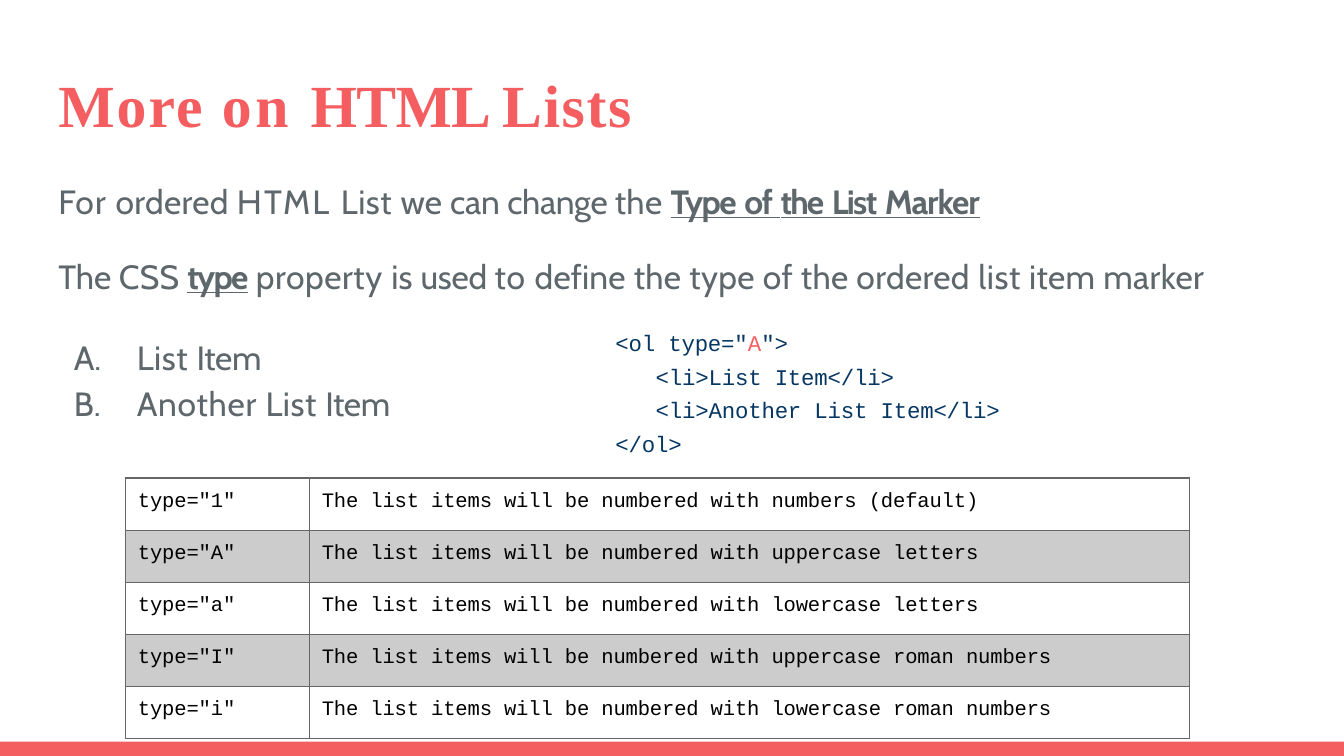
"""Build a slide about the marker types of ordered HTML lists."""
from dataclasses import dataclass

from lxml import etree
from pptx import Presentation
from pptx.dml.color import RGBColor
from pptx.enum.shapes import MSO_SHAPE
from pptx.enum.text import MSO_ANCHOR, MSO_AUTO_SIZE, PP_ALIGN
from pptx.oxml.ns import qn
from pptx.util import Pt

RECTANGLE = MSO_SHAPE.RECTANGLE
TOP = MSO_ANCHOR.TOP
NO_FIT = MSO_AUTO_SIZE.NONE
LEFT = PP_ALIGN.LEFT
CORAL, SLATE, NAVY = "F45E61", "5E686C", "063763"
BLACK, BORDER, BAND = "000000", "666666", "CCCCCC"
SERIF, SANS, MONO = "Times New Roman", "Cabin", "Courier New"


@dataclass(frozen=True)
class Piece:
    text: str
    spacing: float = 0
    strong: bool = False
    underline: bool = False
    color: str = ""


@dataclass(frozen=True)
class Line:
    pieces: tuple[Piece, ...]
    before: float = 0
    margin: float = 0.7
    hanging: float = 0
    numbering: str = ""


@dataclass(frozen=True)
class Box:
    left: float
    top: float
    width: float
    height: float
    inset: float = 0.9


@dataclass(frozen=True)
class MarkerType:
    value: str
    markers: str


def rgb(value: str) -> RGBColor:
    """Turn a hex string into a colour."""
    return RGBColor.from_string(value)


def key(text: str, spacing: float) -> Piece:
    """Describe an underlined key phrase."""
    return Piece(text, spacing, strong=True, underline=True)


def write(paragraph, text: str, *, size: float, font: str, color: str, bold: bool = False,
          underline: bool = False, spacing: float = 0) -> None:
    """Add one formatted run to a paragraph."""
    run = paragraph.add_run()
    run.text = text
    run.font.size = Pt(size)
    run.font.name = font
    run.font.bold = bold
    run.font.underline = underline
    run.font.color.rgb = rgb(color)
    run.font._element.set("spc", str(round(spacing * 100)))


def set_indent(paragraph, line: Line) -> None:
    """Set the indent and the numbering of a paragraph."""
    properties = paragraph._p.get_or_add_pPr()
    properties.set("marL", str(Pt(line.margin)))
    properties.set("indent", str(-Pt(line.hanging)))
    if line.numbering:
        etree.SubElement(properties, qn("a:buAutoNum"), type=line.numbering)
    else:
        etree.SubElement(properties, qn("a:buNone"))


def fill_frame(frame, lines: list[Line], *, size: float, font: str, color: str) -> None:
    """Write lines into a text frame."""
    for index, line in enumerate(lines):
        paragraph = frame.add_paragraph() if index else frame.paragraphs[0]
        set_indent(paragraph, line)
        paragraph.alignment = LEFT
        paragraph.space_before = Pt(line.before)
        for piece in line.pieces:
            write(paragraph, piece.text, size=size, font=font, color=piece.color or color,
                  bold=piece.strong, underline=piece.underline, spacing=piece.spacing)


def place(shape, box: Box) -> None:
    """Move a text shape and set its insets."""
    shape.left, shape.top = Pt(box.left), Pt(box.top)
    shape.width, shape.height = Pt(box.width), Pt(box.height)
    frame = shape.text_frame
    frame.word_wrap = True
    frame.auto_size = NO_FIT
    frame.vertical_anchor = TOP
    frame.margin_left = frame.margin_right = frame.margin_bottom = 0
    frame.margin_top = Pt(box.inset)


def outline_cell(cell) -> None:
    """Draw thin borders on the four sides of a cell."""
    properties = cell._tc.get_or_add_tcPr()
    for index, side in enumerate(("lnL", "lnR", "lnT", "lnB")):
        border = etree.Element(qn(f"a:{side}"), w=str(Pt(0.75)))
        solid = etree.SubElement(border, qn("a:solidFill"))
        etree.SubElement(solid, qn("a:srgbClr"), val=BORDER)
        properties.insert(index, border)


def add_marker_table(slide, marker_types: list[MarkerType], box: Box) -> None:
    """Add the table of marker types."""
    table = slide.shapes.add_table(len(marker_types), 2, Pt(box.left), Pt(box.top),
                                   Pt(box.width), Pt(box.height)).table
    table.first_row = table.horz_banding = False
    type_width = 98.5
    table.columns[0].width = Pt(type_width)
    table.columns[1].width = Pt(box.width - type_width)
    for row, marker in enumerate(marker_types):
        texts = (f'type="{marker.value}"',
                 f"The list items will be numbered with {marker.markers}")
        for column, text in enumerate(texts):
            cell = table.cell(row, column)
            cell.margin_left = cell.margin_right = cell.margin_bottom = 0
            cell.margin_top = Pt(box.inset)
            if row % 2:
                cell.fill.solid()
                cell.fill.fore_color.rgb = rgb(BAND)
            else:
                cell.fill.background()
            outline_cell(cell)
            fill_frame(cell.text_frame, [Line((Piece(text, -0.1),), margin=6.7)],
                       size=11, font=MONO, color=BLACK)


def main() -> None:
    """Build and save the slide."""
    deck = Presentation()
    deck.slide_width, deck.slide_height = Pt(720), Pt(405)
    slide = deck.slides.add_slide(deck.slide_layouts[3])
    title, intro, items = slide.placeholders

    footer = slide.shapes.add_shape(RECTANGLE, 0, Pt(397.4), Pt(720), Pt(7.6))
    footer.shadow.inherit = False
    footer.fill.solid()
    footer.fill.fore_color.rgb = rgb(CORAL)
    footer.line.fill.background()

    place(title, Box(30.5, 35.5, 320, 40))
    heading = Line((Piece("More ", 1.1, True), Piece("on ", 1.9, True),
                    Piece("HTML ", -0.4, True), Piece("Lists", 0.9, True)))
    fill_frame(title.text_frame, [heading], size=32, font=SERIF, color=CORAL)

    place(intro, Box(30.5, 95.8, 625, 64))
    marker_line = Line((
        Piece("For ", 0.6), Piece("ordered ", 0.2), Piece("HTML ", 1.1), Piece("List ", 0.3),
        Piece("we ", 0.1), Piece("can ", -0.1), Piece("change ", -0.2), Piece("the ", 0.2),
        key("Type", -0.8), key(" ", -1.8), key("of", -0.8), key(" ", -1.9), key("the", -1),
        key(" ", -1.8), key("List", -0.9), key(" ", -1.8), key("Marker", -0.6)))
    property_line = Line((
        Piece("The "), Piece("CSS ", 0.1), key("type", -0.9), Piece(" ", -1.8, True),
        Piece("property ", 0.3), Piece("is ", 0.1), Piece("used ", -0.1), Piece("to ", 0.5),
        Piece("define ", 0.1), Piece("the type of the ordered ", 0.2), Piece("list ", 0.3),
        Piece("item marker", 0.2)), before=18.5)
    fill_frame(intro.text_frame, [marker_line, property_line], size=18, font=SANS, color=SLATE)

    place(items, Box(38, 176.4, 175, 52, 4.3))
    item = (Piece("List ", 0.3), Piece("Item", -0.2))
    numbered = {"margin": 35.3, "hanging": 33.8, "numbering": "alphaUcPeriod"}
    fill_frame(items.text_frame,
               [Line(item, **numbered),
                Line((Piece("Another ", 0.4), *item), before=3.1, **numbered)],
               size=18, font=SANS, color=SLATE)

    code = slide.shapes.add_textbox(0, 0, 0, 0)
    place(code, Box(329, 172, 216, 71, 4.3))
    opening = (Piece('<ol type="', -0.1), Piece("A", -0.1, color=CORAL), Piece('">', -0.1))
    code_lines = [Line(opening)]
    for text, margin in (("<li>List Item</li>", 22.3), ("<li>Another List Item</li>", 22.3),
                         ("</ol>", 0.7)):
        code_lines.append(Line((Piece(text, -0.1),), before=3.6, margin=margin))
    fill_frame(code.text_frame, code_lines, size=12, font=MONO, color=NAVY)

    marker_types = [MarkerType("1", "numbers (default)"),
                    MarkerType("A", "uppercase letters"),
                    MarkerType("a", "lowercase letters"),
                    MarkerType("I", "uppercase roman numbers"),
                    MarkerType("i", "lowercase roman numbers")]
    add_marker_table(slide, marker_types, Box(67.2, 256.1, 570, 139.5, 6.3))
    deck.save("out.pptx")


if __name__ == "__main__":
    main()
